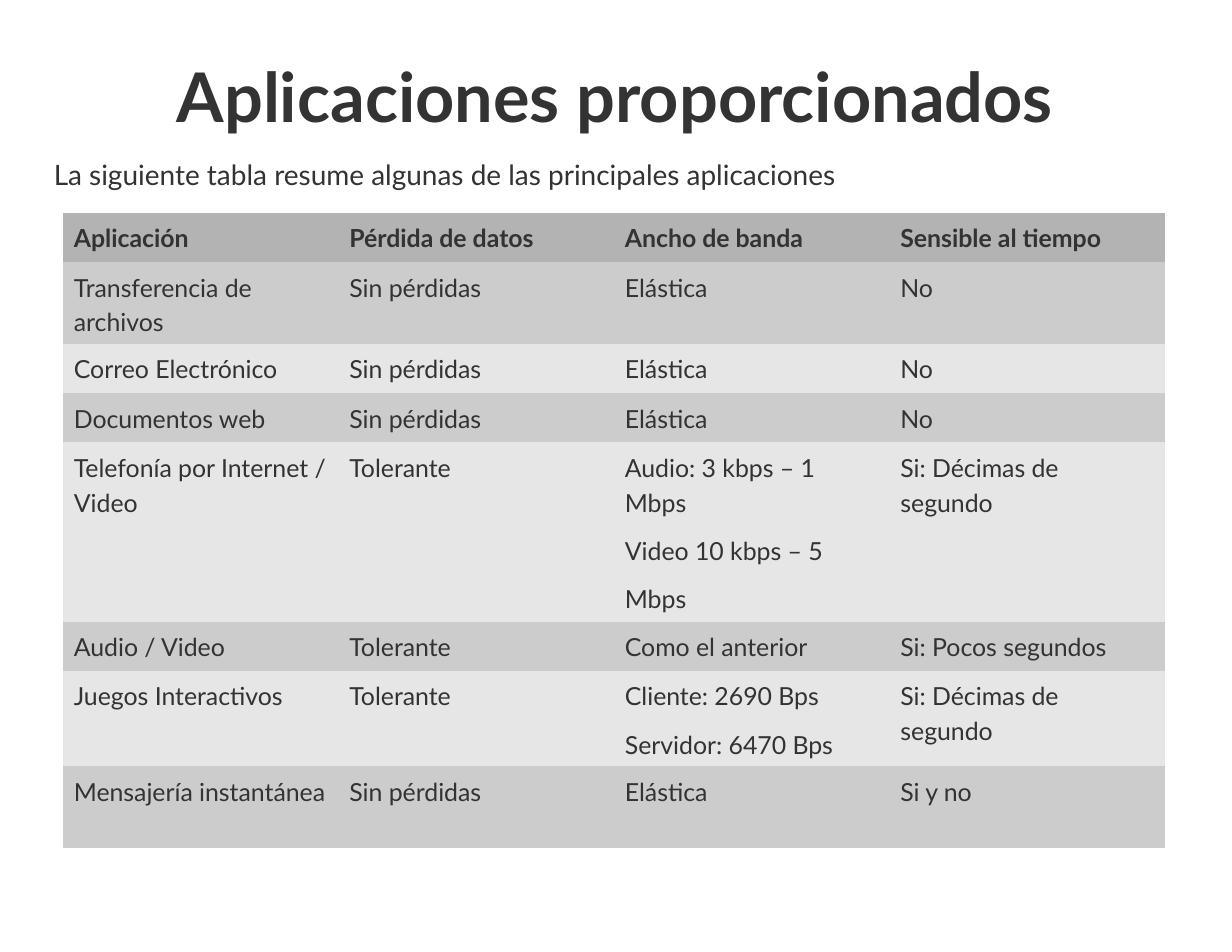
from pptx import Presentation
from pptx.dml.color import RGBColor
from pptx.enum import text as tx
from pptx.oxml import ns
from pptx.util import Inches, Pt
from lxml import etree

FONT, INK = "Lato", "333333"
HEAD, BANDS = "B3B3B3", ("CCCCCC", "E6E6E6")
PLAIN = "{2D5ABB26-0587-4C30-8999-92F81FD0307C}"  # no style, no grid
LEFT, JUST, MID = tx.PP_ALIGN.LEFT, tx.PP_ALIGN.JUSTIFY, tx.PP_ALIGN.CENTER

HEIGHTS = [0.44, 0.73, 0.44, 0.44, 1.6, 0.44, 0.85, 0.73]
ROWS = [
    ["Aplicación", "Pérdida de datos", "Ancho de banda", "Sensible al tiempo"],
    ["Transferencia de archivos", "Sin pérdidas", "Elástica", "No"],
    ["Correo Electrónico", "Sin pérdidas", "Elástica", "No"],
    ["Documentos web", "Sin pérdidas", "Elástica", "No"],
    ["Telefonía por Internet / Video", "Tolerante",
     "Audio: 3 kbps – 1 Mbps\nVideo 10 kbps – 5 Mbps", "Si: Décimas de segundo"],
    ["Audio / Video", "Tolerante", "Como el anterior", "Si: Pocos segundos"],
    ["Juegos Interactivos", "Tolerante",
     "Cliente: 2690 Bps\nServidor: 6470 Bps", "Si: Décimas de segundo"],
    ["Mensajería instantánea", "Sin pérdidas", "Elástica", "Si y no"],
]


def color(code):
    return RGBColor.from_string(code)


def write(frame, words, size=16, bold=False, align=LEFT, first=1.0, rest=1.0):
    """Fill a frame; first and rest are the line spacings of its paragraphs."""
    frame.text = words
    for i, para in enumerate(frame.paragraphs):
        para.alignment = align
        para.line_spacing = rest if i else first
        para.space_before = Pt(0)
        for run in para.runs:
            font = run.font
            font.name, font.size, font.bold = FONT, Pt(size), bold
            font.color.rgb = color(INK)


def place(shape, box):
    shape.left, shape.top, shape.width, shape.height = map(Inches, box)
    shape.text_frame.auto_size = tx.MSO_AUTO_SIZE.NONE


def title(slide, box):
    shape = slide.shapes.title
    place(shape, box)
    frame = shape.text_frame
    frame.word_wrap = False
    frame.vertical_anchor = tx.MSO_ANCHOR.MIDDLE
    write(frame, "Aplicaciones proporcionados", size=44, bold=True, align=MID)


def intro(slide, box):
    shape = slide.placeholders[1]
    place(shape, box)
    frame = shape.text_frame
    write(frame, "La siguiente tabla resume algunas de las principales aplicaciones",
          size=18, align=JUST)
    # No bullet, no indent
    props = frame.paragraphs[0]._p.get_or_add_pPr()
    props.set("marL", "0")
    props.set("indent", "0")
    etree.SubElement(props, ns.qn("a:buNone"))


def grid(slide, box):
    table = slide.shapes.add_table(len(ROWS), len(ROWS[0]), *map(Inches, box)).table
    table._tbl.tblPr.find(ns.qn("a:tableStyleId")).text = PLAIN
    for col in table.columns:
        col.width = Inches(box[2] / len(ROWS[0]))
    for r, row in enumerate(ROWS):
        table.rows[r].height = Inches(HEIGHTS[r])
        for c, words in enumerate(row):
            cell = table.cell(r, c)
            cell.fill.solid()
            cell.fill.fore_color.rgb = color(BANDS[(r - 1) % 2] if r else HEAD)
            write(cell.text_frame, words, bold=r == 0, first=1.17, rest=1.63)


def main():
    deck = Presentation()
    deck.slide_width, deck.slide_height = Inches(11), Inches(8.5)
    slide = deck.slides.add_slide(deck.slide_layouts[1])
    title(slide, (0.39, 0.43, 10.21, 0.83))
    intro(slide, (0.38, 1.36, 10.23, 6))
    grid(slide, (0.56, 1.9, 9.84, sum(HEIGHTS)))
    deck.save("out.pptx")


if __name__ == "__main__":
    main()
